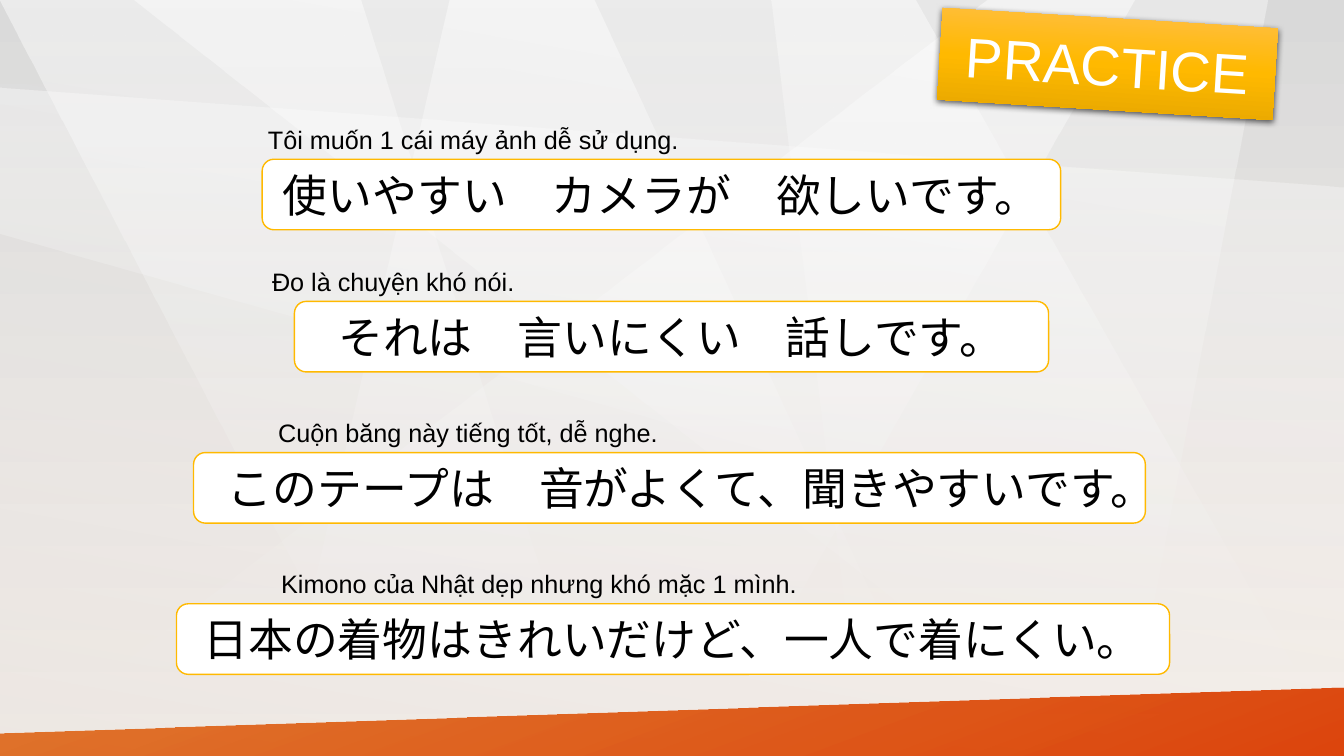
import pptx
import pptx.util
import pptx.dml.color
import pptx.enum.shapes
import pptx.enum.text
import pptx.oxml
import pptx.oxml.ns

Inches, Pt = pptx.util.Inches, pptx.util.Pt
RGBColor = pptx.dml.color.RGBColor
MSO_SHAPE = pptx.enum.shapes.MSO_SHAPE
PP_ALIGN = pptx.enum.text.PP_ALIGN
MSO_ANCHOR = pptx.enum.text.MSO_ANCHOR
qn = pptx.oxml.ns.qn
NS = pptx.oxml.ns.nsdecls("a")

WHITE = RGBColor(0xFF, 0xFF, 0xFF)
BLACK = RGBColor(0, 0, 0)
AMBER = RGBColor(0xFF, 0xB9, 0x00)
AMBER_LIGHT = RGBColor(0xFF, 0xBF, 0x4B)
AMBER_DARK = RGBColor(0xE3, 0xA4, 0x00)
GREY = RGBColor(0xBF, 0xBF, 0xBF)
GREY_LIGHT = RGBColor(0xD9, 0xD9, 0xD9)
CREAM = RGBColor(0xFC, 0xF5, 0xEF)
ORANGE = RGBColor(0xDD, 0x59, 0x00)
RED = RGBColor(0xDC, 0x3C, 0x00)

WIDTH, HEIGHT = 13.33, 7.5

# Light facets: opacity at the top in percent, then the corners
FACETS = [
    (50, [(9.79, 0), (0, 7.51), (7.01, 7.51), (11.25, 0)]),
    (50, [(0, 0), (3.58, 0), (5.94, 7.5), (3.91, 7.5)]),
    (50, [(1.32, 0), (9.07, 0), (13.33, 7.5), (10.83, 7.5)]),
    (40, [(7.65, 0), (8.56, 7.5), (11.15, 7.5), (12.57, 0)]),
    (50, [(5.89, 0), (4.46, 0), (2.72, 7.5), (9.39, 7.5)]),
    (40, [(0, 0.87), (13.33, 1.86), (13.33, 6.1), (0, 2.32)]),
]
FLOOR = [(0, 7.27), (13.34, 6.82), (13.33, 7.51), (0, 7.51)]

# Sentence top, left, width; label left, width; label, sentence
ROWS = [
    (1.58, 2.6, 7.92, 2.56, 6.36,
     "Tôi muốn 1 cái máy ảnh dễ sử dụng.", "使いやすい　カメラが　欲しいです。"),
    (2.99, 2.92, 7.48, 2.6, 5.94,
     "Đo là chuyện khó nói.", "それは　言いにくい　話しです。"),
    (4.49, 1.92, 9.44, 2.66, 7.01,
     "Cuộn băng này tiếng tốt, dễ nghe.", "このテープは　音がよくて、聞きやすいです。"),
    (5.99, 1.75, 9.85, 2.69, 6.62,
     "Kimono của Nhật dẹp nhưng khó mặc 1 mình.", "日本の着物はきれいだけど、一人で着にくい。"),
]


def set_gradient(fill, element, angle, stops):
    """Stops are (position, colour, opacity), all in percent."""
    fill.gradient()
    grad = element.find(".//" + qn("a:gradFill"))
    for child in list(grad):
        grad.remove(child)
    stop_xml = "".join(
        f'<a:gs pos="{pos * 1000}"><a:srgbClr val="{color}">'
        f'<a:alpha val="{opacity * 1000}"/></a:srgbClr></a:gs>'
        for pos, color, opacity in stops)
    grad.append(pptx.oxml.parse_xml(f"<a:gsLst {NS}>{stop_xml}</a:gsLst>"))
    grad.append(pptx.oxml.parse_xml(
        f'<a:lin {NS} ang="{angle * 60000}" scaled="0"/>'))


def finish_plain(sp, angle, stops):
    set_gradient(sp.fill, sp.element, angle, stops)
    sp.line.fill.background()
    sp.shadow.inherit = False


def add_polygon(s, points, angle, stops):
    corners = [(Inches(x), Inches(y)) for x, y in points]
    builder = s.shapes.build_freeform(*corners[0])
    builder.add_line_segments(corners[1:], close=True)
    finish_plain(builder.convert_to_shape(), angle, stops)


def write_text(sp, text, size, color, align):
    tf = sp.text_frame
    tf.text = text
    tf.word_wrap = True
    p = tf.paragraphs[0]
    p.alignment = align
    r = p.runs[0]
    r.font.name = "Arial"
    r.font.size = Pt(size)
    r.font.color.rgb = color
    return tf


def add_label(s, left, top, width, text):
    sp = s.shapes.add_textbox(Inches(left), Inches(top), Inches(width), Inches(0.4))
    write_text(sp, text, 18, BLACK, PP_ALIGN.LEFT)


def add_sentence(s, left, top, width, text):
    sp = s.shapes.add_shape(MSO_SHAPE.ROUNDED_RECTANGLE, Inches(left), Inches(top),
                            Inches(width), Inches(0.7))
    sp.fill.solid()
    sp.fill.fore_color.rgb = WHITE
    sp.line.color.rgb = AMBER
    sp.line.width = Pt(1)
    sp.shadow.inherit = False
    tf = write_text(sp, text, 32, BLACK, PP_ALIGN.CENTER)
    tf.vertical_anchor = MSO_ANCHOR.MIDDLE


def add_backdrop(s):
    set_gradient(s.background.fill, s.element, 90,
                 [(0, GREY_LIGHT, 50), (100, CREAM, 100)])
    for opacity, points in FACETS:
        add_polygon(s, points, 90, [(0, WHITE, opacity), (100, WHITE, 0)])
    shade = s.shapes.add_shape(MSO_SHAPE.RECTANGLE, 0, 0, Inches(WIDTH), Inches(HEIGHT))
    finish_plain(shade, 280, [(0, GREY, 25), (100, WHITE, 0)])
    add_polygon(s, FLOOR, 70, [(0, ORANGE, 80), (100, RED, 95)])


def place_title(s, text):
    sp = s.shapes.title
    s.shapes.element.append(sp.element)  # bring in front of the backdrop
    sp.left, sp.top = Inches(9.32), Inches(0.18)
    sp.width, sp.height = Inches(3.33), Inches(0.91)
    sp.rotation = 3.5
    sp.element.spPr.append(pptx.oxml.parse_xml(
        f'<a:prstGeom {NS} prst="roundRect"><a:avLst/></a:prstGeom>'))
    finish_plain(sp, 90, [(0, AMBER_LIGHT, 100), (50, AMBER, 100),
                          (100, AMBER_DARK, 100)])
    sp.element.spPr.find(qn("a:effectLst")).append(pptx.oxml.parse_xml(
        f'<a:outerShdw {NS} blurRad="{Pt(4.5)}" dist="{Pt(1.5)}" dir="5400000" '
        f'rotWithShape="0"><a:srgbClr val="{BLACK}"><a:alpha val="63000"/>'
        '</a:srgbClr></a:outerShdw>'))
    tf = write_text(sp, text, 40, WHITE, PP_ALIGN.CENTER)
    tf.auto_size = pptx.enum.text.MSO_AUTO_SIZE.NONE
    tf.vertical_anchor = MSO_ANCHOR.MIDDLE


def main():
    prs = pptx.Presentation()
    prs.slide_width, prs.slide_height = Inches(WIDTH), Inches(HEIGHT)
    s = prs.slides.add_slide(prs.slide_layouts[5])

    add_backdrop(s)
    place_title(s, "PRACTICE")

    # Vietnamese prompt above each Japanese sentence
    for top, left, width, label_left, label_width, label, sentence in ROWS:
        add_label(s, label_left, top - 0.4, label_width, label)
        add_sentence(s, left, top, width, sentence)

    prs.save("out.pptx")


if __name__ == "__main__":
    main()
